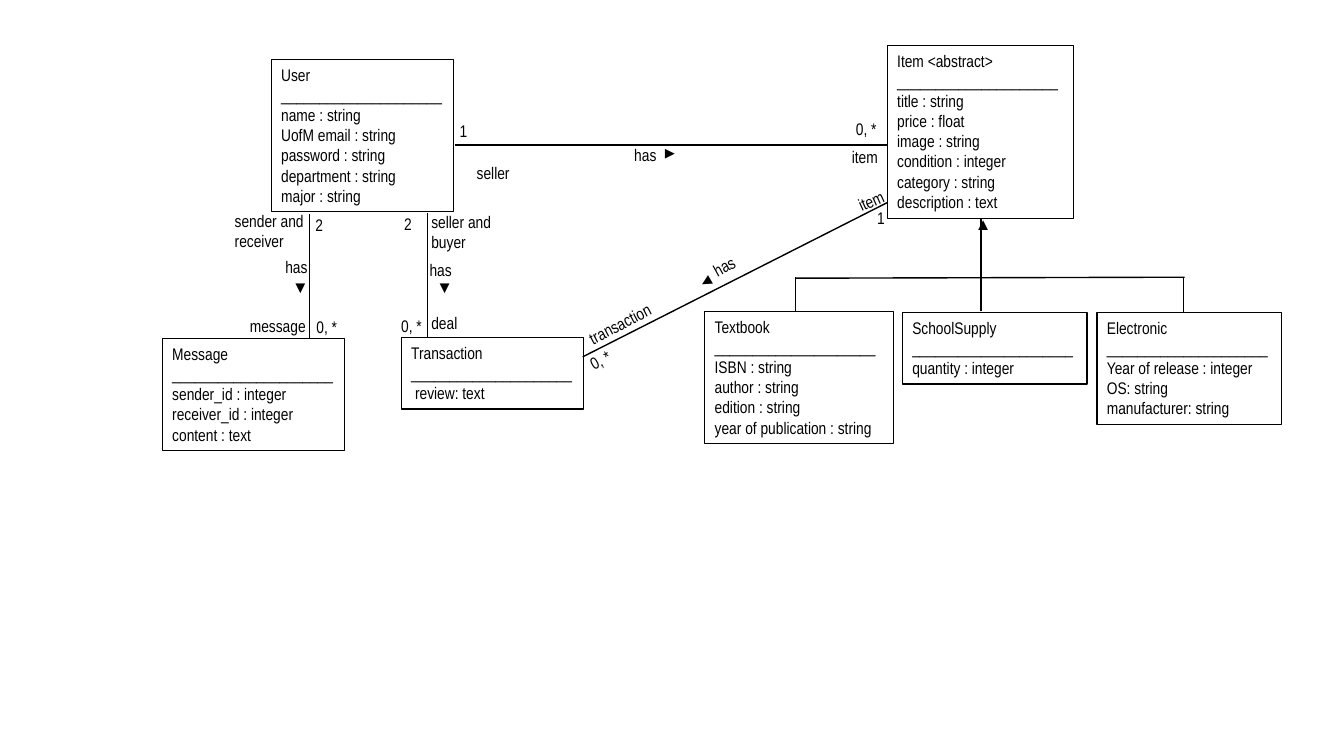
from dataclasses import dataclass

from lxml.etree import SubElement
from pptx import Presentation
from pptx.dml.color import RGBColor
from pptx.enum.shapes import MSO_CONNECTOR, MSO_SHAPE
from pptx.enum.text import MSO_ANCHOR, MSO_AUTO_SIZE, PP_ALIGN
from pptx.oxml.ns import qn
from pptx.slide import Slide
from pptx.text.text import TextFrame
from pptx.util import Inches, Pt

INK = "000000"
FONT = "Arial Narrow"
DIVIDER = "_" * 21
LABEL_HEIGHT = 0.3


@dataclass(frozen=True)
class Entity:
    name: str
    left: float
    top: float
    width: float
    height: float
    attributes: tuple[str, ...]


@dataclass(frozen=True)
class Link:
    x1: float
    y1: float
    x2: float
    y2: float


@dataclass(frozen=True)
class Label:
    text: str
    left: float
    top: float
    width: float
    height: float = LABEL_HEIGHT
    rotation: float = 0
    wrap: bool = True
    centered: bool = False


ENTITIES = (
    Entity("User", 2.69, 0.59, 1.81, 1.51, (
        "name : string", "UofM email : string", "password : string",
        "department : string", "major : string")),
    Entity("Item <abstract>", 8.8, 0.45, 1.85, 1.72, (
        "title : string", "price : float", "image : string",
        "condition : integer", "category : string", "description : text")),
    Entity("Textbook", 6.99, 3.09, 1.87, 1.31, (
        "ISBN : string", "author : string", "edition : string",
        "year of publication : string")),
    Entity("SchoolSupply", 8.95, 3.1, 1.83, 0.71, ("quantity : integer",)),
    Entity("Electronic", 10.88, 3.1, 1.83, 1.11, (
        "Year of release : integer", "OS: string", "manufacturer: string")),
    Entity("Transaction", 3.98, 3.35, 1.81, 0.71, (" review: text",)),
    Entity("Message", 1.61, 3.36, 1.81, 1.11, (
        "sender_id : integer", "receiver_id : integer", "content : text")),
)

ASSOCIATIONS = (
    Link(4.51, 1.44, 8.8, 1.44),
    Link(3.07, 3.35, 3.07, 2.12),
    Link(4.24, 3.35, 4.24, 2.11),
    Link(5.78, 3.54, 8.8, 2.01),
)

INHERITANCE = (
    Link(11.75, 2.75, 7.89, 2.76),
    Link(9.73, 3.09, 9.73, 2.16),
    Link(7.89, 3.09, 7.89, 2.75),
    Link(11.74, 3.1, 11.74, 2.75),
)

LABELS = (
    Label("1", 4.46, 1.15, 0.34),
    Label("seller", 4.63, 1.57, 0.96),
    Label("has", 6.19, 1.39, 0.42, wrap=False, centered=True),
    Label("▼", 6.44, 1.38, 0.37, rotation=270, centered=True),
    Label("0, *", 8.39, 1.13, 0.41, wrap=False),
    Label("item", 8.35, 1.41, 0.96),
    Label("sender and receiver", 2.23, 2.04, 0.96, 0.5),
    Label("2", 3.03, 2.08, 0.28, wrap=False),
    Label("has", 2.7, 2.5, 0.48, centered=True),
    Label("▼", 2.8, 2.7, 0.37),
    Label("message", 2.38, 3.08, 0.96),
    Label("0, *", 3.04, 3.09, 0.41, wrap=False),
    Label("seller and buyer", 4.18, 2.05, 0.96, 0.5),
    Label("2", 3.91, 2.07, 0.28, wrap=False),
    Label("has", 4.13, 2.53, 0.48, centered=True),
    Label("▼", 4.23, 2.7, 0.37),
    Label("deal", 4.18, 3.05, 1.03),
    Label("0, *", 3.88, 3.08, 0.41, wrap=False),
    Label("item", 8.39, 1.73, 0.99, 0.31, rotation=335.8),
    Label("1", 8.6, 2.01, 0.32),
    Label("has", 6.94, 2.36, 0.96, rotation=331.1),
    Label("▼", 6.84, 2.64, 0.37, rotation=59.8, wrap=False),
    Label("transaction", 5.71, 3.04, 0.96, rotation=332.4),
    Label("0, *", 5.75, 3.42, 0.41, rotation=331.7, wrap=False),
    Label("▲", 9.57, 2.07, 0.37, wrap=False),
)


def color(hex_value: str) -> RGBColor:
    return RGBColor.from_string(hex_value)


def write(frame: TextFrame, text: str, wrap: bool, alignment: PP_ALIGN) -> None:
    frame.text = text
    frame.word_wrap = wrap
    frame.auto_size = MSO_AUTO_SIZE.SHAPE_TO_FIT_TEXT
    frame.vertical_anchor = MSO_ANCHOR.TOP
    for paragraph in frame.paragraphs:
        paragraph.alignment = alignment
        for run in paragraph.runs:
            run.font.name = FONT
            run.font.size = Pt(12)
            run.font.color.rgb = color(INK)


def draw_entity(slide: Slide, entity: Entity) -> None:
    box = slide.shapes.add_shape(
        MSO_SHAPE.RECTANGLE, Inches(entity.left), Inches(entity.top),
        Inches(entity.width), Inches(entity.height))
    box.shadow.inherit = False
    box.fill.background()
    box.line.color.rgb = color(INK)
    box.line.width = Pt(1)
    rows = "\n".join((entity.name, DIVIDER, *entity.attributes))
    write(box.text_frame, rows, True, PP_ALIGN.LEFT)


def draw_link(slide: Slide, link: Link) -> None:
    connector = slide.shapes.add_connector(
        MSO_CONNECTOR.STRAIGHT, Inches(link.x1), Inches(link.y1),
        Inches(link.x2), Inches(link.y2))
    connector.line.color.rgb = color(INK)
    connector.line.width = Pt(1)
    SubElement(connector._element.spPr, qn("a:effectLst"))


def draw_label(slide: Slide, label: Label) -> None:
    caption = slide.shapes.add_textbox(
        Inches(label.left), Inches(label.top),
        Inches(label.width), Inches(label.height))
    caption.rotation = label.rotation
    alignment = PP_ALIGN.CENTER if label.centered else PP_ALIGN.LEFT
    write(caption.text_frame, label.text, label.wrap, alignment)


def main() -> None:
    presentation = Presentation()
    presentation.slide_width = Inches(13.33)
    presentation.slide_height = Inches(7.5)
    slide = presentation.slides.add_slide(presentation.slide_layouts[6])
    for link in ASSOCIATIONS + INHERITANCE:
        draw_link(slide, link)
    for entity in ENTITIES:
        draw_entity(slide, entity)
    for label in LABELS:
        draw_label(slide, label)
    presentation.save("out.pptx")


if __name__ == "__main__":
    main()
